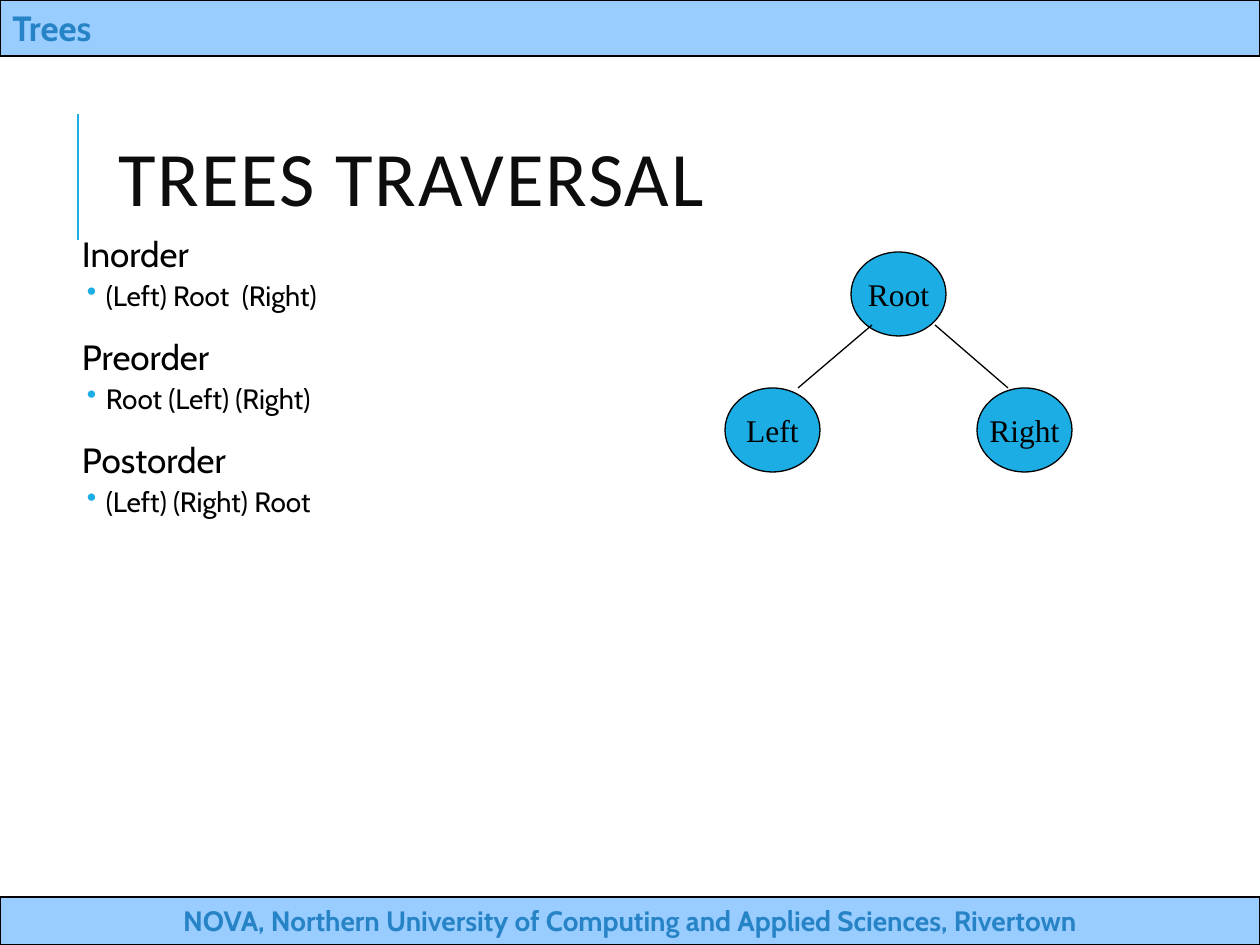
from lxml import etree
from pptx import Presentation
from pptx.dml.color import RGBColor
from pptx.enum.shapes import MSO_CONNECTOR, MSO_SHAPE
from pptx.enum.text import MSO_ANCHOR, PP_ALIGN
from pptx.oxml.ns import qn
from pptx.util import Emu, Pt

RECT, OVAL = MSO_SHAPE.RECTANGLE, MSO_SHAPE.OVAL
STRAIGHT = MSO_CONNECTOR.STRAIGHT
TOP, MIDDLE = MSO_ANCHOR.TOP, MSO_ANCHOR.MIDDLE
LEFT, CENTER = PP_ALIGN.LEFT, PP_ALIGN.CENTER
CYAN, BLUE, PALE, BLACK = "1CADE4", "2683C6", "99CCFF", "000000"
SANS, SERIF = "Cabin", "Times New Roman"
ORDERS = [
    ("Inorder", "(Left) Root  (Right)"),
    ("Preorder", "Root (Left) (Right)"),
    ("Postorder", "(Left) (Right) Root"),
]
NODES = [("Root", 126, 0), ("Left", 0, 136), ("Right", 252, 136)]
EDGES = [(73, 136, 147, 73), (210, 73, 283, 136)]


def px(count):
    """Turn px into EMU."""
    return Emu(round(count * 914400 / 126))


def color(code):
    """Turn a hex string into a colour."""
    return RGBColor.from_string(code)


def style(para, font, size, code, bold=False):
    """Format the runs of a paragraph."""
    for run in para.runs:
        run.font.name = font
        run.font.size = Pt(size)
        run.font.bold = bold
        run.font.color.rgb = color(code)


def add_line(slide, ends, code, width):
    """Draw a straight line without a shadow."""
    line = slide.shapes.add_connector(STRAIGHT, *map(px, ends))
    line.line.color.rgb = color(code)
    line.line.width = Pt(width)
    etree.SubElement(line._element.spPr, qn("a:effectLst"))


def add_label(slide, kind, box, fill, text, anchor, align):
    """Draw an outlined shape with text and return it."""
    shape = slide.shapes.add_shape(kind, *map(px, box))
    shape.shadow.inherit = False
    shape.fill.solid()
    shape.fill.fore_color.rgb = color(fill)
    shape.line.color.rgb = color(BLACK)
    shape.line.width = Pt(0.75)
    frame = shape.text_frame
    frame.text = text
    frame.vertical_anchor = anchor
    frame.paragraphs[0].alignment = align
    return shape


def add_band(slide, box, text, size, align):
    """Draw a header or footer band."""
    band = add_label(slide, RECT, box, PALE, text, TOP, align)
    style(band.text_frame.paragraphs[0], SANS, size, BLUE, True)


def add_title(slide, box, text):
    """Place and format the title."""
    title = slide.shapes.title
    title.left, title.top, title.width, title.height = map(px, box)
    frame = title.text_frame
    frame.text = text
    frame.vertical_anchor = MIDDLE
    para = frame.paragraphs[0]
    para.alignment = LEFT
    para.line_spacing = 0.8
    style(para, "Calibri", 44, "0D0D0D")
    para.runs[0].font._element.set("spc", "100")


def add_bullet(para, margin, hang):
    """Give a paragraph a hanging bullet."""
    props = para._p.get_or_add_pPr()
    props.set("marL", str(px(margin)))
    props.set("indent", str(-px(hang)))
    tint = etree.SubElement(props, qn("a:buClr"))
    etree.SubElement(tint, qn("a:srgbClr"), val=CYAN)
    etree.SubElement(props, qn("a:buChar"), char="•")


def add_orders(slide, box, orders):
    """List each order with its rule below."""
    frame = slide.shapes.add_textbox(*map(px, box)).text_frame
    frame.word_wrap = True
    frame.margin_left = frame.margin_right = px(6)
    frame.margin_top = frame.margin_bottom = px(6)
    frame.text = "\n".join(text for pair in orders for text in pair)
    for index, para in enumerate(frame.paragraphs):
        rule = index % 2 == 1
        para.line_spacing = 0.9
        para.space_before = Pt(2 if rule else 12)
        para.space_after = Pt(4 if rule else 2)
        style(para, SANS, 16 if rule else 20, BLACK)
        if rule:
            add_bullet(para, 37, 19)
        else:
            para._p.get_or_add_pPr().set("marL", str(px(13)))


def add_tree(slide, left, top):
    """Draw the nodes and edges of the tree."""
    for name, x, y in NODES:
        box = (left + x, top + y, 95, 84)
        node = add_label(slide, OVAL, box, CYAN, name, MIDDLE, CENTER)
        node.text_frame.word_wrap = False
        style(node.text_frame.paragraphs[0], SERIF, 18, BLACK)
    for x1, y1, x2, y2 in EDGES:
        ends = (left + x1, top + y1, left + x2, top + y2)
        add_line(slide, ends, BLACK, 0.75)


def main():
    """Build the slide and save it."""
    deck = Presentation()
    deck.slide_width, deck.slide_height = px(1260), px(945)
    slide = deck.slides.add_slide(deck.slide_layouts[5])
    add_line(slide, (78, 240, 78, 114), CYAN, 1.5)
    footer = "NOVA, Northern University of Computing and Applied Sciences, Rivertown"
    add_band(slide, (0, 897, 1260, 48), footer, 16, CENTER)
    add_band(slide, (0, 0, 1260, 56), "Trees", 20, LEFT)
    add_title(slide, (106, 81, 1004, 207), "TREES TRAVERSAL")
    add_orders(slide, (63, 231, 1134, 624), ORDERS)
    add_tree(slide, 725, 252)
    deck.save("out.pptx")


if __name__ == "__main__":
    main()
